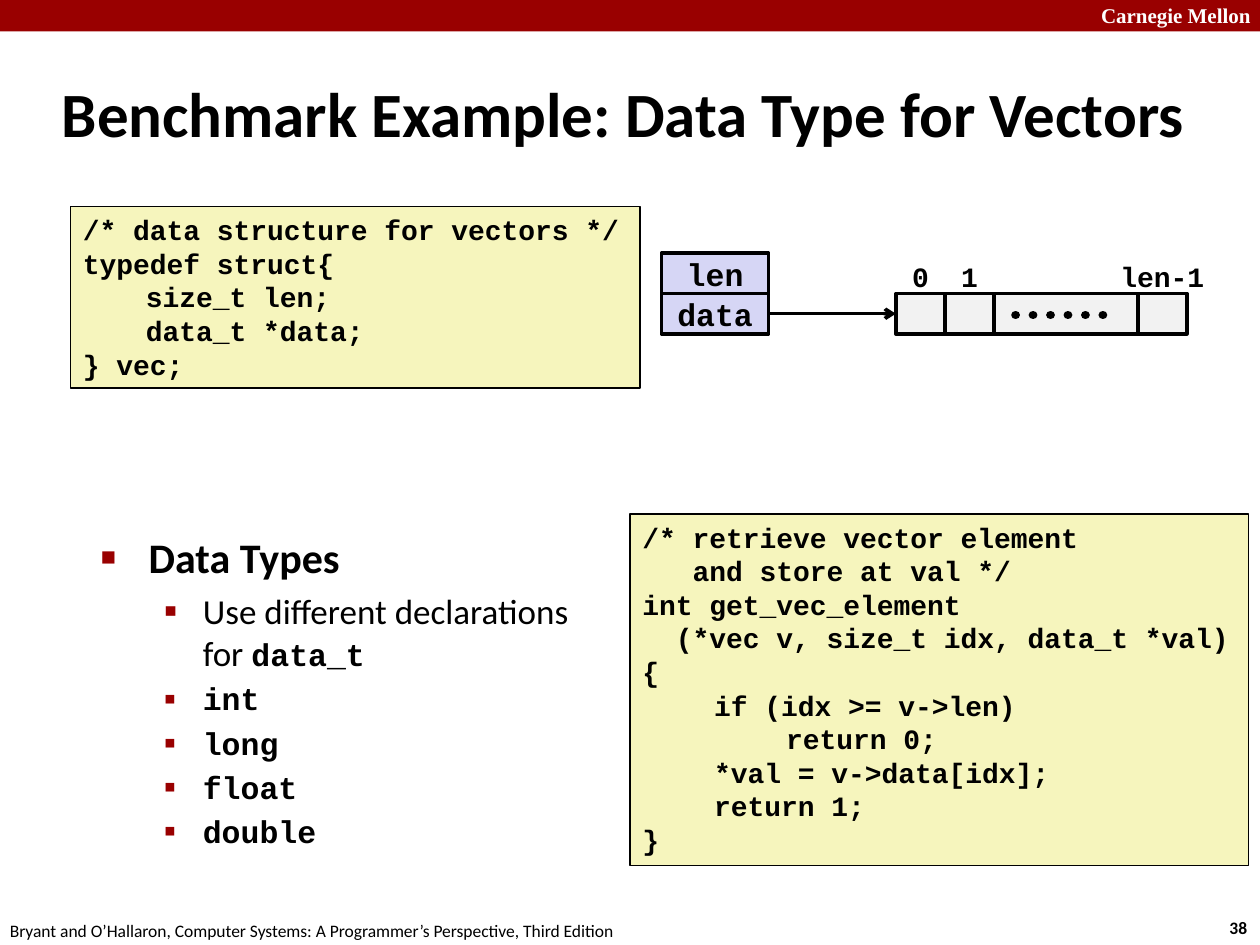
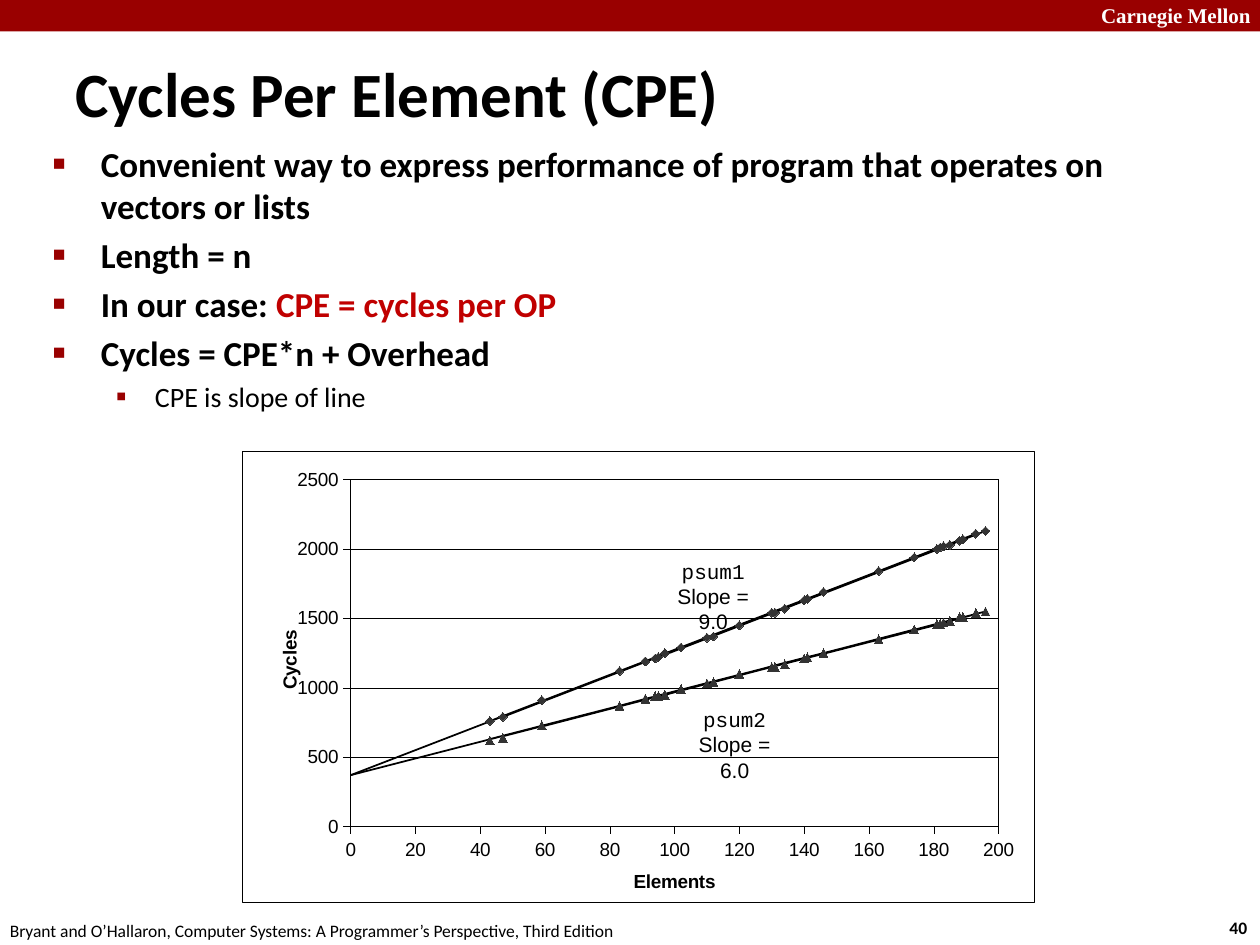
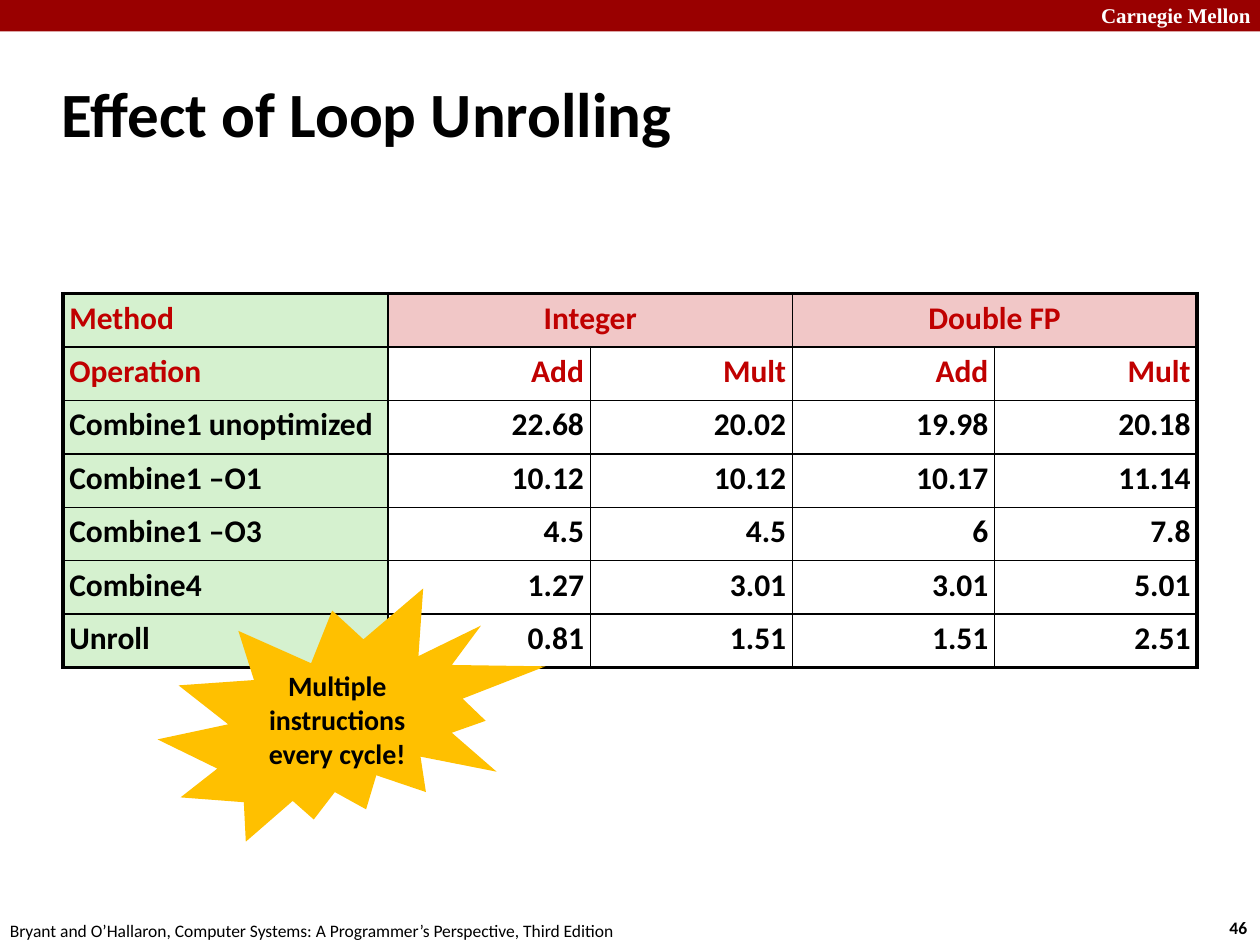
from lxml import etree
from pptx import Presentation
from pptx.chart.data import XyChartData
from pptx.dml.color import RGBColor
from pptx.enum import chart as charts, dml, shapes, text
from pptx.oxml import parse_xml
from pptx.oxml.ns import nsdecls, qn
from pptx.util import Inches, Pt

BLACK = RGBColor(0x00, 0x00, 0x00)
WHITE = RGBColor(0xFF, 0xFF, 0xFF)
BAND_RED = RGBColor(0x99, 0x00, 0x00)
ACCENT_RED = RGBColor(0xC0, 0x00, 0x00)
CODE_YELLOW = RGBColor(0xF6, 0xF5, 0xBD)
FIELD_BLUE = RGBColor(0xD6, 0xD6, 0xF5)
CELL_GREY = RGBColor(0xF2, 0xF2, 0xF2)
MARKER_GREY = RGBColor(0x33, 0x33, 0x33)
METHOD_GREEN = RGBColor(0xD5, 0xF1, 0xCF)
TYPE_PINK = RGBColor(0xF1, 0xC7, 0xC7)
SEAL_ORANGE = RGBColor(0xFF, 0xC0, 0x00)

BODY_FONT, CODE_FONT, CHART_FONT = "Calibri", "Courier New", "Arial"
LEFT, CENTER, RIGHT = text.PP_ALIGN.LEFT, text.PP_ALIGN.CENTER, text.PP_ALIGN.RIGHT


def set_text(frame, content, size, font=BODY_FONT, color=BLACK, bold=True, align=LEFT, wrap=False):
    frame.text = content
    frame.word_wrap = wrap
    for paragraph in frame.paragraphs:
        paragraph.alignment = align
        for run in paragraph.runs:
            run.font.size, run.font.name, run.font.bold = Pt(size), font, bold
            run.font.color.rgb = color


def add_block(slide, box, fill, line_width=0, kind=shapes.MSO_SHAPE.RECTANGLE):
    """Add a flat shape; box is left, top, width, height in inches."""
    block = slide.shapes.add_shape(kind, *map(Inches, box))
    block.shadow.inherit = False
    block.fill.solid()
    block.fill.fore_color.rgb = fill
    if line_width:
        block.line.color.rgb = BLACK
        block.line.width = Pt(line_width)
    else:
        block.line.fill.background()
    return block


prs = Presentation()
prs.slide_width, prs.slide_height = Inches(10), Inches(7.5)

# Each list item: level, then runs of (text, size, font, bold, colour)
data_types = [
    (0, [("Data Types", 24, BODY_FONT, True, BLACK)]),
    (1, [("Use different declarations for ", 20, BODY_FONT, False, BLACK),
         ("data_t", 18, CODE_FONT, True, BLACK)]),
] + [(1, [(name, 18, CODE_FONT, True, BLACK)]) for name in ("int", "long", "float", "double")]
cpe_points = [
    (0, [("Convenient way to express performance of program that operates on vectors or lists",
          20, BODY_FONT, True, BLACK)]),
    (0, [("Length = n", 20, BODY_FONT, True, BLACK)]),
    (0, [("In our case: ", 20, BODY_FONT, True, BLACK),
         ("CPE = cycles per OP", 20, BODY_FONT, True, ACCENT_RED)]),
    (0, [("Cycles = CPE*n + Overhead", 20, BODY_FONT, True, BLACK)]),
    (1, [("CPE is slope of line", 16, BODY_FONT, False, BLACK)]),
]
pages = [
    ("38", "Benchmark Example: Data Type for Vectors", (0.39, 0.48, 9.44, 0.83),
     data_types, (0.7, 4.17, 4.23, 2.43)),
    ("40", "Cycles Per Element (CPE)", (0.5, 0.42, 8.9, 0.63), cpe_points, (0.32, 1.08, 9.09, 1.66)),
    ("46", "Effect of Loop Unrolling", (0.39, 0.48, 8.3, 0.83), None, None),
]
# Per level: left margin, hanging indent, bullet, bullet size in percent
BULLETS = [(0.38, 0.38, "■", 60), (0.81, 0.31, "▪", 110)]
FOOTER = "Bryant and O’Hallaron, Computer Systems: A Programmer’s Perspective, Third Edition"

slides = []
for number, heading, title_box, items, body_box in pages:
    slide = prs.slides.add_slide(prs.slide_layouts[1 if items else 5])
    slides.append(slide)
    add_block(slide, (0, 0, 10, 0.25), BAND_RED)
    for box, content, size, font, color, bold in [
        ((8.64, -0.03, 1.43, 0.3), "Carnegie Mellon", 12, "Times New Roman", WHITE, True),
        ((9.66, 7.23, 0.37, 0.27), number, 10, BODY_FONT, BLACK, True),
        ((-0.02, 7.25, 5.08, 0.27), FOOTER, 10, BODY_FONT, BLACK, False),
    ]:
        set_text(slide.shapes.add_textbox(*map(Inches, box)).text_frame,
                 content, size, font, color, bold)

    title = slide.shapes.title
    title.left, title.top, title.width, title.height = map(Inches, title_box)
    set_text(title.text_frame, heading, 36, wrap=True)
    title.text_frame.auto_size = text.MSO_AUTO_SIZE.NONE
    title.text_frame.vertical_anchor = text.MSO_ANCHOR.MIDDLE
    if not items:
        continue

    body = slide.placeholders[1]
    body.left, body.top, body.width, body.height = map(Inches, body_box)
    body.text_frame.auto_size = text.MSO_AUTO_SIZE.NONE
    for index, (level, runs) in enumerate(items):
        paragraph = body.text_frame.paragraphs[0] if index == 0 else body.text_frame.add_paragraph()
        paragraph.level = level
        margin, hang, bullet, percent = BULLETS[level]
        props = paragraph._p.get_or_add_pPr()
        props.set("marL", str(Inches(margin)))
        props.set("indent", str(-Inches(hang)))
        bullet_color = etree.SubElement(props, qn("a:buClr"))
        etree.SubElement(bullet_color, qn("a:srgbClr"), val=str(BAND_RED))
        etree.SubElement(props, qn("a:buSzPct"), val=str(percent * 1000))
        etree.SubElement(props, qn("a:buChar"), char=bullet)
        paragraph.space_before = Pt(0.2 * runs[0][1] if index else 0)
        for content, size, font, bold, color in runs:
            run = paragraph.add_run()
            run.text = content
            run.font.size, run.font.name, run.font.bold = Pt(size), font, bold
            run.font.color.rgb = color

vector_slide, cpe_slide, unroll_slide = slides

# Vector data type: code listings
struct_code = """/* data structure for vectors */
typedef struct{
\tsize_t len;
\tdata_t *data;
} vec;"""
element_code = """/* retrieve vector element
   and store at val */
int get_vec_element
  (*vec v, size_t idx, data_t *val)
{
\tif (idx >= v->len)
\t\treturn 0;
\t*val = v->data[idx];
\treturn 1;
}"""
for box, code, tab in [((0.56, 1.64, 4.52, 1.44), struct_code, 0.5),
                       ((5, 4.08, 4.91, 2.79), element_code, 0.57)]:
    listing = add_block(vector_slide, box, CODE_YELLOW, 1)
    listing.text_frame.vertical_anchor = text.MSO_ANCHOR.TOP
    set_text(listing.text_frame, code, 16, CODE_FONT)
    for paragraph in listing.text_frame.paragraphs:
        tabs = etree.SubElement(paragraph._p.get_or_add_pPr(), qn("a:tabLst"))
        for step in (1, 2):
            etree.SubElement(tabs, qn("a:tab"), pos=str(Inches(tab * step)), algn="l")

# Vector data type: struct fields pointing at the array
ROW_TOP, ROW_HEIGHT = 2.33, 0.32
for top, field in [(ROW_TOP - ROW_HEIGHT, "len"), (ROW_TOP, "data")]:
    field_box = add_block(vector_slide, (5.25, top, 0.85, ROW_HEIGHT), FIELD_BLUE, 2)
    set_text(field_box.text_frame, field, 18, CODE_FONT, align=CENTER)

left = 7.11
array_cells = []
for width, label in [(0.39, "0"), (0.39, "1"), (1.14, ""), (0.39, "len-1")]:
    array_cells.append(add_block(vector_slide, (left, ROW_TOP, width, ROW_HEIGHT), CELL_GREY, 2))
    if label:
        index_label = vector_slide.shapes.add_textbox(
            Inches(left + width / 2 - 0.44), Inches(2.01), Inches(0.88), Inches(0.37))
        set_text(index_label.text_frame, label, 16, CODE_FONT, align=CENTER)
    left += width

pointer, dots = [
    vector_slide.shapes.add_connector(shapes.MSO_CONNECTOR.STRAIGHT, *map(Inches, ends))
    for ends in [(6.1, 2.49, 7.11, 2.49), (8.06, 2.5, 8.86, 2.5)]]
for connector, weight in [(pointer, 2), (dots, 5)]:
    connector.line.color.rgb = BLACK
    connector.line.width = Pt(weight)
    etree.SubElement(connector._element.spPr, qn("a:effectLst"))
pointer.begin_connect(field_box, 3)
pointer.end_connect(array_cells[0], 1)
etree.SubElement(pointer.line._get_or_add_ln(), qn("a:tailEnd"), type="arrow")
dots.line.dash_style = dml.MSO_LINE.ROUND_DOT
dots.line._get_or_add_ln().set("cap", "rnd")

# Cycles per element: measured points and fitted lines
elements = [0, 193, 120, 91, 95, 196, 97, 181, 91, 83, 43, 183, 140, 146, 94, 134, 163, 131, 110,
            182, 189, 112, 141, 185, 188, 47, 130, 102, 59, 174]
psum1_measured = [None, 2110, 1450, 1190, 1220, 2130, 1250, 2000, 1190, 1120, 760, 2020, 1630, 1690,
                  1210, 1570, 1840, 1540, 1360, 2010, 2070, 1370, 1640, 2030, 2060, 790, 1540, 1290,
                  910, 1940]
psum1_fit = [370, 2110, 1450, 1190, 1220, 2130, 1240, 2000, 1190, 1120, 760, 2020, 1630, 1680,
             1220, 1580, 1840, 1550, 1360, 2010, 2070, 1380, 1640, 2040, 2060, 790, 1540, 1290,
             900, 1940]
psum2_measured = [None, 1540, 1100, 920, 940, 1550, 950, 1460, 920, 870, 620, 1470, 1210, 1250,
                  940, 1170, 1350, 1150, 1030, 1460, 1510, 1040, 1220, 1480, 1510, 640, 1150, 990,
                  730, 1420]
psum2_fit = [370, 1530, 1090, 920, 940, 1550, 950, 1460, 920, 870, 630, 1470, 1210, 1250,
             930, 1180, 1350, 1160, 1030, 1460, 1510, 1040, 1220, 1480, 1500, 650, 1150, 980,
             720, 1420]
chart_data = XyChartData()
for order, cycles in enumerate([psum1_measured, psum1_fit, psum2_measured, psum2_fit], 1):
    series = chart_data.add_series(f"Series {order}")
    for x, y in zip(elements, cycles):
        series.add_data_point(x, y or 0)
chart = cpe_slide.shapes.add_chart(
    charts.XL_CHART_TYPE.XY_SCATTER_LINES, Inches(1.92), Inches(3.58), Inches(6.29), Inches(3.58),
    chart_data).chart
chart.has_title = chart.has_legend = False
chart.font.size, chart.font.name = Pt(10.8), CHART_FONT
chart.font.color.rgb = BLACK
chart.plots[0].vary_by_categories = False

DIAMOND, TRIANGLE = charts.XL_MARKER_STYLE.DIAMOND, charts.XL_MARKER_STYLE.TRIANGLE
for series, marker in zip(chart.plots[0].series, (DIAMOND, None, TRIANGLE, None)):
    series.smooth = False
    if marker is None:
        series.marker.style = charts.XL_MARKER_STYLE.NONE
        series.format.line.color.rgb = BLACK
        series.format.line.width = Pt(1)
    else:
        series.format.line.fill.background()
        series.marker.style, series.marker.size = marker, 5
        series.marker.format.fill.solid()
        series.marker.format.fill.fore_color.rgb = MARKER_GREY
        series.marker.format.line.color.rgb = MARKER_GREY
        # Nothing was measured at zero elements: leave that value empty
        unmeasured = series._element.find(qn("c:yVal")).find(".//" + qn("c:pt"))
        unmeasured.getparent().remove(unmeasured)

for axis, name, maximum, step in [(chart.category_axis, "Elements", 200, 20),
                                  (chart.value_axis, "Cycles", 2500, 500)]:
    axis.minimum_scale, axis.maximum_scale, axis.major_unit = 0, maximum, step
    axis.major_tick_mark = charts.XL_TICK_MARK.OUTSIDE
    axis.minor_tick_mark = charts.XL_TICK_MARK.NONE
    axis.has_major_gridlines = name == "Cycles"
    axis.format.line.color.rgb = BLACK
    axis.format.line.width = Pt(0.25)
    axis_text = axis.axis_title.text_frame
    axis_text.text = name
    axis_font = axis_text.paragraphs[0].runs[0].font
    axis_font.size, axis_font.name, axis_font.bold = Pt(10.8), CHART_FONT, True
    axis_font.color.rgb = BLACK
gridline = chart.value_axis.major_gridlines.format.line
gridline.color.rgb = BLACK
gridline.width = Pt(0.25)

FRAME = (f'<c:spPr {nsdecls("c", "a")}>%s<a:ln w="3175"><a:solidFill>'
         f'<a:srgbClr val="{BLACK}"/></a:solidFill></a:ln></c:spPr>')
chart_part = chart._chartSpace.find(qn("c:chart"))
chart_part.addnext(parse_xml(FRAME % f'<a:solidFill><a:srgbClr val="{WHITE}"/></a:solidFill>'))
plot_area = chart_part.find(qn("c:plotArea"))
plot_area.append(parse_xml(FRAME % "<a:noFill/>"))

# Fixed places inside the chart, as fractions of its size
EDGE = [("xMode", "edge"), ("yMode", "edge")]
for part, position, settings in [
    (plot_area, 0, [("layoutTarget", "inner"), *EDGE,
                    ("x", 0.137), ("y", 0.063), ("w", 0.818), ("h", 0.77)]),
    (chart.category_axis.axis_title._element, 1, [*EDGE, ("x", 0.49), ("y", 0.92)]),
    (chart.value_axis.axis_title._element, 1, [*EDGE, ("x", 0.04), ("y", 0.39)]),
]:
    for old_layout in part.findall(qn("c:layout")):
        part.remove(old_layout)
    layout = etree.Element(qn("c:layout"))
    manual = etree.SubElement(layout, qn("c:manualLayout"))
    for tag, value in settings:
        etree.SubElement(manual, qn(f"c:{tag}"), val=str(value))
    part.insert(position, layout)

for left, top, function, slope in [(5.25, 4.4, "psum1", "9.0"), (5.42, 5.58, "psum2", "6.0")]:
    slope_label = add_block(cpe_slide, (left, top, 0.82, 0.37), WHITE)
    frame = slope_label.text_frame
    frame.margin_left = frame.margin_right = frame.margin_top = Inches(0.03)
    frame.margin_bottom = 0
    frame.vertical_anchor = text.MSO_ANCHOR.TOP
    set_text(frame, f"{function}\nSlope = {slope}", 12, CHART_FONT, bold=False, align=CENTER, wrap=True)
    frame.paragraphs[0].runs[0].font.name = CODE_FONT

# Loop unrolling: cycles per element by method
rows = [
    ("Method", "Integer", "", "Double FP", ""),
    ("Operation", "Add", "Mult", "Add", "Mult"),
    ("Combine1 unoptimized", "22.68", "20.02", "19.98", "20.18"),
    ("Combine1 –O1", "10.12", "10.12", "10.17", "11.14"),
    ("Combine1 –O3", "4.5", "4.5", "6", "7.8"),
    ("Combine4", "1.27", "3.01", "3.01", "5.01"),
    ("Unroll", "0.81", "1.51", "1.51", "2.51"),
]
last_row, last_col = len(rows) - 1, len(rows[0]) - 1
TABLE_WIDTH, METHOD_WIDTH = 9, 2.58
table = unroll_slide.shapes.add_table(
    len(rows), len(rows[0]), Inches(0.5), Inches(2.33), Inches(TABLE_WIDTH), Inches(2.97)).table
table.first_row = table.horz_banding = False
for c, column in enumerate(table.columns):
    column.width = Inches((TABLE_WIDTH - METHOD_WIDTH) / last_col if c else METHOD_WIDTH)
for first in (1, 3):
    table.cell(0, first).merge(table.cell(0, first + 1))
for r, values in enumerate(rows):
    for c, value in enumerate(values):
        cell = table.cell(r, c)
        cell.margin_left = cell.margin_right = cell.margin_top = cell.margin_bottom = Inches(0.05)
        if c and r:
            cell.fill.background()
        else:
            cell.fill.solid()
            cell.fill.fore_color.rgb = TYPE_PINK if c else METHOD_GREEN
        if value:
            set_text(cell.text_frame, value, 18, color=ACCENT_RED if r < 2 else BLACK,
                     align=LEFT if c == 0 else RIGHT if r else CENTER, wrap=True)
        cell.text_frame.paragraphs[0].line_spacing = 0.95
        edges = [("L", c == 0), ("R", c + cell.span_width > last_col),
                 ("T", r == 0), ("B", r == last_row)]
        for position, (side, outer) in enumerate(edges):
            border = etree.Element(qn(f"a:ln{side}"), w=str(Pt(2.25 if outer else 1)))
            border_fill = etree.SubElement(border, qn("a:solidFill"))
            etree.SubElement(border_fill, qn("a:srgbClr"), val=str(BLACK))
            cell._tc.get_or_add_tcPr().insert(position, border)

seal = add_block(unroll_slide, (1.25, 4.67, 3.08, 2.01), SEAL_ORANGE, kind=shapes.MSO_SHAPE.EXPLOSION2)
set_text(seal.text_frame, "Multiple instructions every cycle!", 16, align=CENTER, wrap=True)

prs.save("out.pptx")
